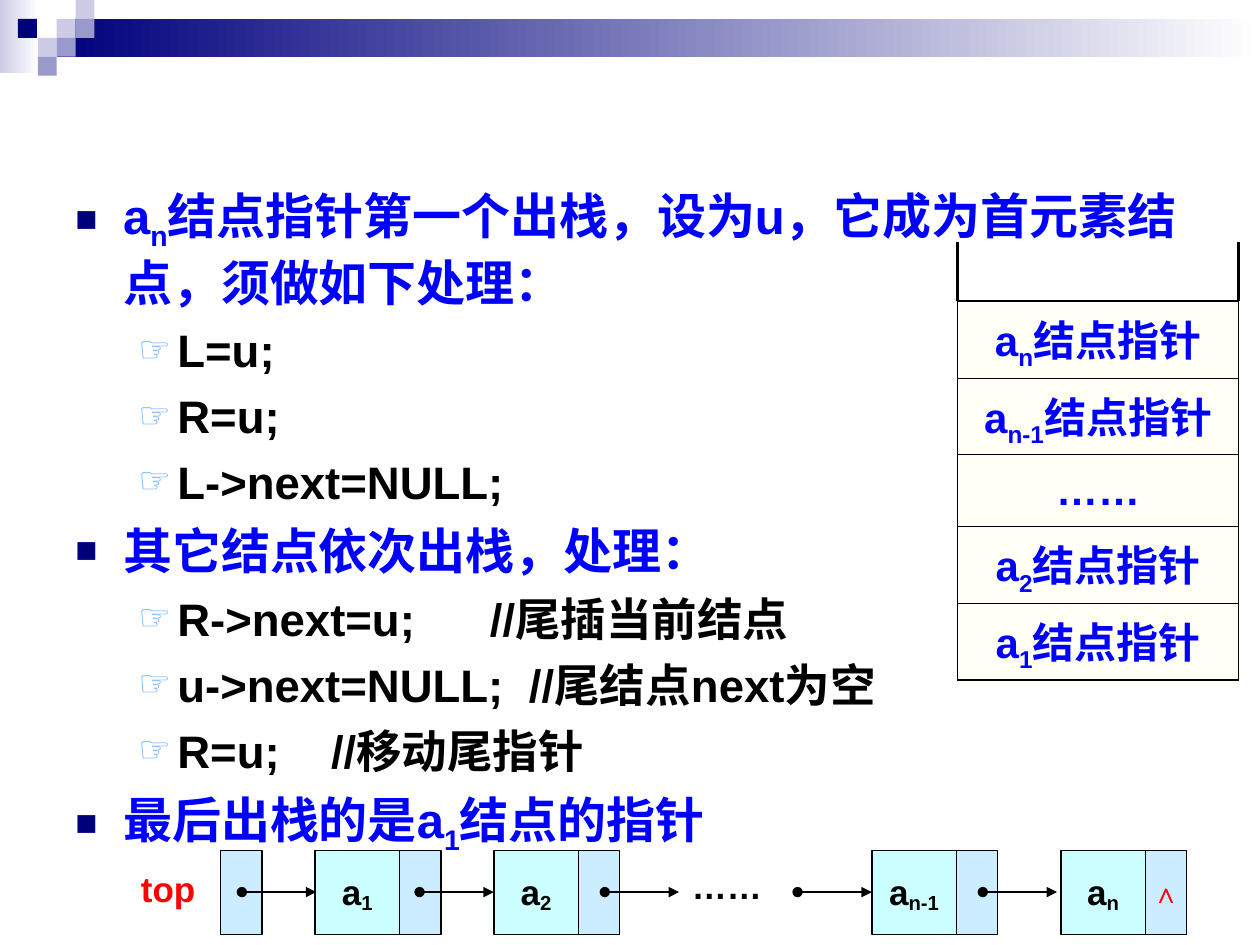
from dataclasses import dataclass

from lxml import etree
from pptx import Presentation
from pptx.dml.color import RGBColor
from pptx.enum.shapes import MSO_CONNECTOR, MSO_SHAPE
from pptx.enum.text import MSO_ANCHOR, PP_ALIGN
from pptx.oxml.ns import qn
from pptx.util import Inches, Pt

RECTANGLE = MSO_SHAPE.RECTANGLE
STRAIGHT = MSO_CONNECTOR.STRAIGHT
CENTER = PP_ALIGN.CENTER
MIDDLE = MSO_ANCHOR.MIDDLE
FONT = "Arial"

COLORS = {
    "navy": "00007D", "violet": "9999CC", "lavender": "CCCCE6", "white": "FFFFFF",
    "blue": "0000FF", "sky": "67AFFF", "black": "000000", "red": "FF0000",
    "ivory": "FFFFF5", "data": "CCFFFF", "link": "CCECFF",
}


@dataclass(frozen=True)
class Label:
    base: str
    sub: str = ""
    tail: str = ""


@dataclass(frozen=True)
class Level:
    size: int
    color: str
    bullet: str
    bullet_color: str
    bullet_percent: int
    margin: float
    hanging: float
    space_before: float


@dataclass(frozen=True)
class Item:
    level: Level
    label: Label
    comment_tab: float = 0


@dataclass(frozen=True)
class Node:
    left: float
    label: Label
    mark: str = ""


TOPIC = Level(28, "blue", "■", "navy", 75, 0.38, 0.38, 7)
CODE = Level(26, "black", "☞", "sky", 80, 0.81, 0.31, 6.5)

ITEMS = [
    Item(TOPIC, Label("a", "n", "结点指针第一个出栈，设为u，它成为首元素结点，须做如下处理：")),
    Item(CODE, Label("L=u;")),
    Item(CODE, Label("R=u;")),
    Item(CODE, Label("L->next=NULL;")),
    Item(TOPIC, Label("其它结点依次出栈，处理：")),
    Item(CODE, Label("R->next=u;\t//尾插当前结点"), 3.29),
    Item(CODE, Label("u->next=NULL;\t//尾结点next为空"), 3.6),
    Item(CODE, Label("R=u;\t//移动尾指针"), 2.03),
    Item(TOPIC, Label("最后出栈的是a", "1", "结点的指针")),
]
STACK = [
    Label("a", "n", "结点指针"),
    Label("a", "n-1", "结点指针"),
    Label("……"),
    Label("a", "2", "结点指针"),
    Label("a", "1", "结点指针"),
]
STACK_LEFT, STACK_TOP, STACK_WIDTH = 7.6, 2.39, 2.23
STACK_ROWS = [0.61, 0.61, 0.57, 0.61, 0.61]

NODES = [
    Node(2.5, Label("a", "1")),
    Node(3.92, Label("a", "2")),
    Node(6.92, Label("a", "n-1")),
    Node(8.42, Label("a", "n"), "∧"),
]
NODE_TOP, DATA_WIDTH, LINK_WIDTH, NODE_HEIGHT = 6.75, 0.67, 0.33, 0.67
ARROW_STARTS = [1.92, 3.33, 4.8, 6.33, 7.8]
ARROW_LENGTH, ARROW_Y = 0.59, 7.08

TILE = 0.15
TILES = [(3, 1, "lavender"), (4, 0, "lavender"), (4, 1, "violet"), (2, 2, "lavender"),
         (0.95, 1, "navy"), (3, 2, "violet"), (2, 3, "violet")]


def rgb(name: str) -> RGBColor:
    return RGBColor.from_string(COLORS[name])


def write_label(paragraph, label: Label, size: float, color: str, drop: int = -25) -> None:
    for text, baseline in ((label.base, 0), (label.sub, drop), (label.tail, 0)):
        if not text:
            continue
        run = paragraph.add_run()
        run.text = text
        run.font.name = FONT
        run.font.size = Pt(size)
        run.font.bold = True
        run.font.color.rgb = rgb(color)
        if baseline:
            run._r.get_or_add_rPr().set("baseline", str(baseline * 1000))


def add_box(slide, left: float, top: float, width: float, height: float,
            color: str, outlined: bool = False, fade: bool = False):
    box = slide.shapes.add_shape(RECTANGLE, Inches(left), Inches(top),
                                 Inches(width), Inches(height))
    box.shadow.inherit = False
    if fade:
        box.fill.gradient()
        box.fill.gradient_angle = 0
        for stop, name in zip(box.fill.gradient_stops, (color, "white")):
            stop.color.rgb = rgb(name)
    else:
        box.fill.solid()
        box.fill.fore_color.rgb = rgb(color)
    if outlined:
        box.line.color.rgb = rgb("black")
        box.line.width = Pt(0.75)
    else:
        box.line.fill.background()
    return box


def center_label(shape, label: Label, size: float, color: str) -> None:
    frame = shape.text_frame
    frame.word_wrap = False
    frame.vertical_anchor = MIDDLE
    frame.paragraphs[0].alignment = CENTER
    write_label(frame.paragraphs[0], label, size, color, -16)


def add_caption(slide, left: float, top: float, width: float, height: float,
                text: str, color: str) -> None:
    caption = slide.shapes.add_textbox(Inches(left), Inches(top), Inches(width), Inches(height))
    center_label(caption, Label(text), 20, color)


def add_line(slide, x1: float, y1: float, x2: float, y2: float,
             weight: float, arrow: bool = False) -> None:
    line = slide.shapes.add_connector(STRAIGHT, Inches(x1), Inches(y1), Inches(x2), Inches(y2))
    line.line.color.rgb = rgb("black")
    line.line.width = Pt(weight)
    if arrow:
        outline = line.line._get_or_add_ln()
        etree.SubElement(outline, qn("a:headEnd"), type="oval")
        etree.SubElement(outline, qn("a:tailEnd"), type="triangle")
    etree.SubElement(line._element.spPr, qn("a:effectLst"))


def add_bullet(paragraph, item: Item) -> None:
    level = item.level
    props = paragraph._p.get_or_add_pPr()
    props.set("marL", str(Inches(level.margin)))
    props.set("indent", str(-Inches(level.hanging)))
    color = etree.SubElement(props, qn("a:buClr"))
    etree.SubElement(color, qn("a:srgbClr"), val=COLORS[level.bullet_color])
    etree.SubElement(props, qn("a:buSzPct"), val=str(level.bullet_percent * 1000))
    etree.SubElement(props, qn("a:buFont"), typeface=FONT)
    etree.SubElement(props, qn("a:buChar"), char=level.bullet)
    if item.comment_tab:
        tabs = etree.SubElement(props, qn("a:tabLst"))
        etree.SubElement(tabs, qn("a:tab"), pos=str(Inches(item.comment_tab)), algn="l")


def add_steps(slide) -> None:
    steps = slide.shapes.add_textbox(Inches(0.5), Inches(1.42), Inches(9), Inches(5.67))
    frame = steps.text_frame
    frame.word_wrap = True
    for index, item in enumerate(ITEMS):
        paragraph = frame.add_paragraph() if index else frame.paragraphs[0]
        add_bullet(paragraph, item)
        if index:
            paragraph.space_before = Pt(item.level.space_before)
        write_label(paragraph, item.label, item.level.size, item.level.color)


def set_borders(cell, weights: dict[str, float]) -> None:
    props = cell._tc.get_or_add_tcPr()
    for position, (side, weight) in enumerate(weights.items()):
        border = etree.Element(qn(f"a:{side}"), w=str(Pt(weight)))
        fill = etree.SubElement(border, qn("a:solidFill"))
        etree.SubElement(fill, qn("a:srgbClr"), val=COLORS["black"])
        props.insert(position, border)


def add_stack(slide) -> None:
    stack = slide.shapes.add_table(len(STACK), 1, Inches(STACK_LEFT), Inches(STACK_TOP),
                                   Inches(STACK_WIDTH), Inches(sum(STACK_ROWS))).table
    stack.first_row = stack.horz_banding = False
    for index, (label, height) in enumerate(zip(STACK, STACK_ROWS)):
        stack.rows[index].height = Inches(height)
        cell = stack.cell(index, 0)
        cell.fill.solid()
        cell.fill.fore_color.rgb = rgb("ivory")
        cell.vertical_anchor = MIDDLE
        paragraph = cell.text_frame.paragraphs[0]
        paragraph.alignment = CENTER
        write_label(paragraph, label, 24, "blue")
        top = 0.45 if index else 1.08
        bottom = 1.08 if index == len(STACK) - 1 else 0.45
        set_borders(cell, {"lnL": 1.08, "lnR": 1.08, "lnT": top, "lnB": bottom})
    for x in (STACK_LEFT, STACK_LEFT + STACK_WIDTH):
        add_line(slide, x, STACK_TOP, x, 1.92, 2)


def add_linked_list(slide) -> None:
    add_box(slide, 1.75, NODE_TOP, LINK_WIDTH, NODE_HEIGHT, "link", outlined=True)
    for node in NODES:
        data = add_box(slide, node.left, NODE_TOP, DATA_WIDTH, NODE_HEIGHT, "data", outlined=True)
        center_label(data, node.label, 20, "black")
        link = add_box(slide, node.left + DATA_WIDTH, NODE_TOP, LINK_WIDTH, NODE_HEIGHT,
                       "link", outlined=True)
        if node.mark:
            center_label(link, Label(node.mark), 16, "red")
    for start in ARROW_STARTS:
        add_line(slide, start, ARROW_Y, start + ARROW_LENGTH, ARROW_Y, 0.75, arrow=True)
    add_caption(slide, 5.32, 6.67, 0.9, 0.71, "……", "black")
    add_caption(slide, 1, 6.86, 0.67, 0.39, "top", "red")


def main() -> None:
    deck = Presentation()
    deck.slide_width, deck.slide_height = Inches(10), Inches(7.5)
    slide = deck.slides.add_slide(deck.slide_layouts[6])
    add_box(slide, 0, 0, 0.31, 0.58, "lavender", fade=True)
    add_box(slide, 0.45, 0.15, 9.55, 0.3, "navy", fade=True)
    for column, row, color in TILES:
        add_box(slide, column * TILE, row * TILE, TILE, TILE, color)
    add_steps(slide)
    add_stack(slide)
    add_linked_list(slide)
    deck.save("out.pptx")


if __name__ == "__main__":
    main()
